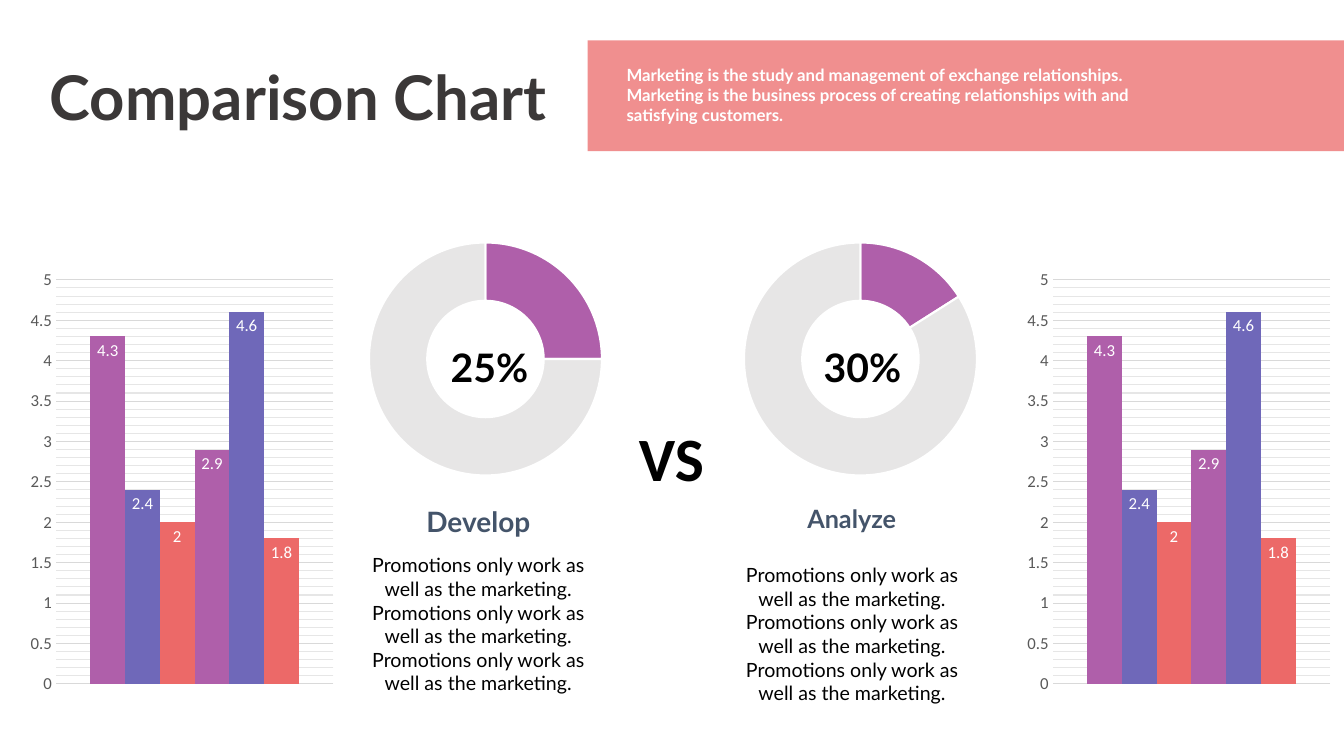
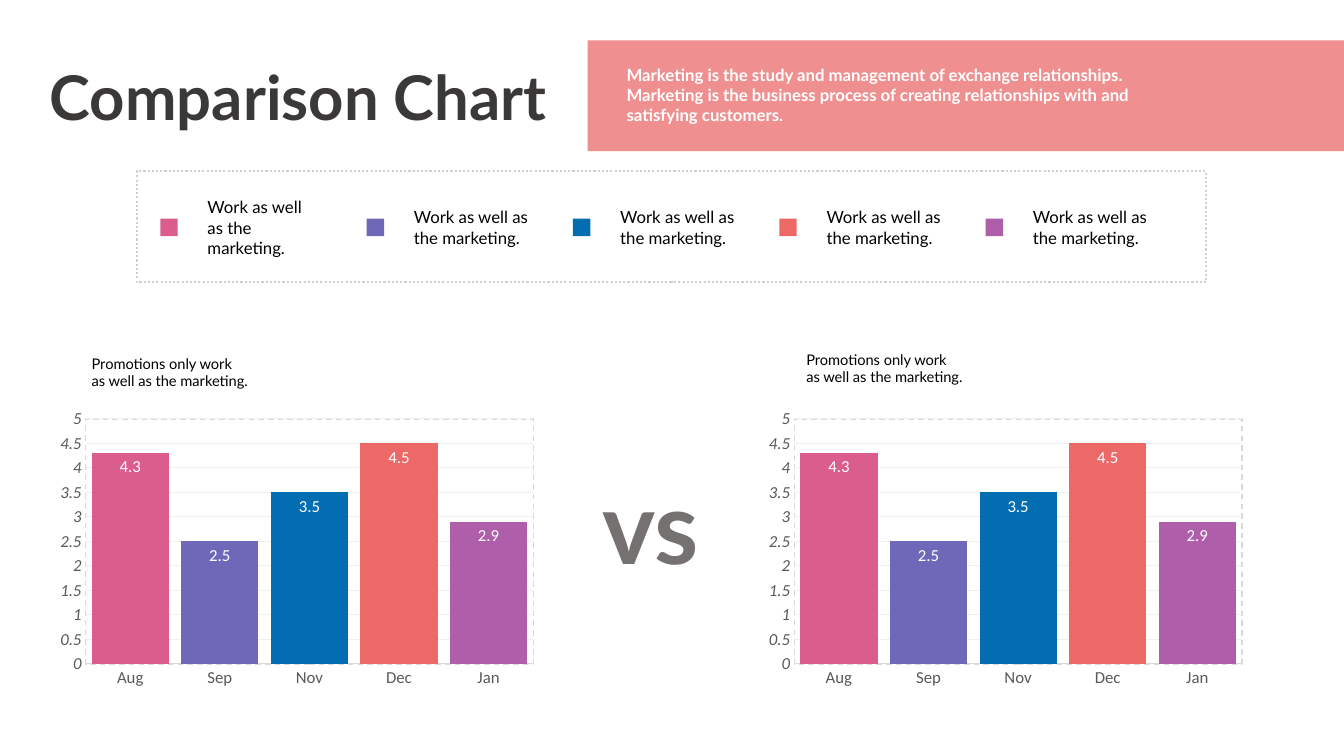
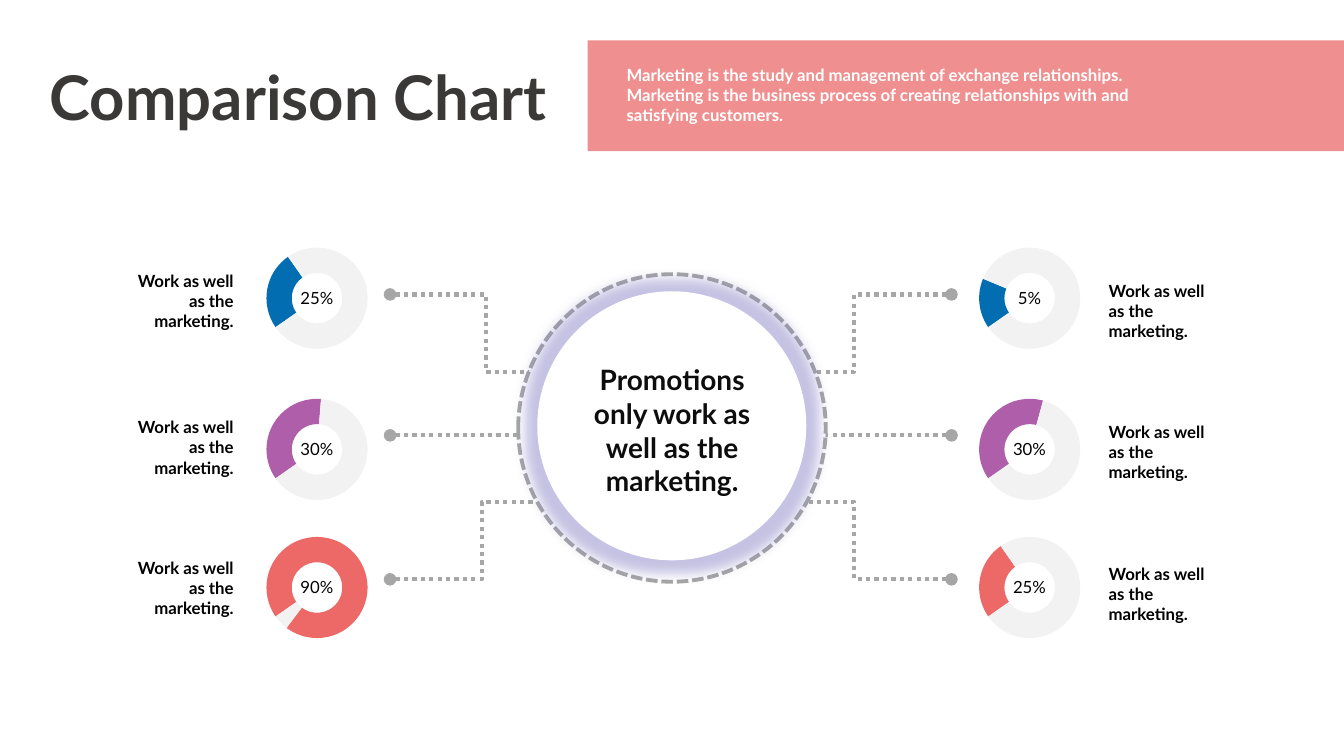
from dataclasses import dataclass

from pptx import Presentation
from pptx.chart import data as chart_data
from pptx.dml.color import RGBColor
from pptx.enum import chart as chart_enum, dml, shapes, text
from pptx.oxml import parse_xml
from pptx.oxml.ns import nsdecls
from pptx.util import Cm, Pt


@dataclass(frozen=True)
class Theme:
    font: str = "Lato"
    chart_font: str = "Calibri"
    pink: str = "DA5D8D"
    violet: str = "6F68B9"
    blue: str = "036DB2"
    coral: str = "EC6968"
    purple: str = "AF5FAA"
    white: str = "FFFFFF"
    black: str = "000000"
    ink: str = "3B3838"
    near_black: str = "0D0D0D"
    slate: str = "44546A"
    stone: str = "767171"
    axis_text: str = "595959"
    connector: str = "A6A6A6"
    grid: str = "D9D9D9"
    minor_grid: str = "E6E6E6"
    faint_grid: str = "F0F0F0"
    frame: str = "D0CECE"
    ring_rest: str = "E7E6E6"
    small_ring_rest: str = "F2F2F2"
    huge: float = 72
    title: float = 44
    figure: float = 28
    heading: float = 20
    subheading: float = 18
    body: float = 14
    label: float = 12
    caption: float = 10.5


THEME = Theme()
LEFT, CENTER, RIGHT = (text.PP_ALIGN.LEFT, text.PP_ALIGN.CENTER, text.PP_ALIGN.RIGHT)
DOTTED = dml.MSO_LINE.ROUND_DOT
DASHED = dml.MSO_LINE.SQUARE_DOT

TITLE = "Comparison Chart"
INTRO = ("Marketing is the study and management of exchange relationships. "
         "Marketing is the business process of creating relationships with "
         "and satisfying customers.")
PROMOTIONS = "Promotions only work as well as the marketing."
WORK = "Work as well as the marketing."

# Slide 1: boxes are left, top, width, height in centimetres
BARS = [("Series 1", 4.3, THEME.purple), ("Series 2", 2.4, THEME.violet),
        ("Series 3", 2, THEME.coral), ("Series 4", 2.9, THEME.purple),
        ("Series 5", 4.6, THEME.violet), ("Series 6", 1.8, THEME.coral)]
SIDES = [
    dict(bars=0.61, ring=8.53, share=25, figure="25%", figure_left=11,
         heading="Develop", heading_box=(10.29, 12.6, 3.53, 1.12),
         heading_size=THEME.heading, body=(8.97, 13.82)),
    dict(bars=25.73, ring=17.98, share=16, figure="30%", figure_left=20.4,
         heading="Analyze", heading_box=(19.89, 12.57, 3.15, 1.02),
         heading_size=THEME.subheading, body=(18.39, 14.07)),
]

# Slide 2
MONTHS = [("Aug", 4.3, THEME.pink), ("Sep", 2.5, THEME.violet),
          ("Nov", 3.5, THEME.blue), ("Dec", 4.5, THEME.coral),
          ("Jan", 2.9, THEME.purple)]
MONTH_CHARTS = [(1.27, (2.06, 8.81, 7.37, 1.5)),
                (19.13, (20.07, 8.71, 7.87, 1.6))]
MONTH_CAPTION = "Promotions only work\nas well as the marketing."

# Slide 3: each row has ring top, colour, then connector heights outside and inside
ROWS = [(5.89, THEME.blue, 7.42, 9.37), (9.7, THEME.purple, 10.97, 10.97),
        (13.18, THEME.coral, 14.6, 12.65)]
# Each item has shown figure, drawn share, caption top, connector end
WINGS = [
    dict(ring=6.25, caption=2.77, align=RIGHT, dot=9.83,
         items=[("25%", 25, 6.5, 14.66), ("30%", 36, 10.19, 14.3),
                ("90%", 95, 13.74, 14.45)]),
    dict(ring=24.21, caption=27.33, align=LEFT, dot=23.98,
         items=[("5%", 16, 6.76, 19.08), ("30%", 39, 10.31, 19.41),
                ("25%", 25, 13.89, 19.08)]),
]


def rgb(value):
    return RGBColor.from_string(value)


def lengths(box):
    return [Cm(value) for value in box]


def style_font(font, size, color, name, bold=False):
    font.size, font.name, font.bold = Pt(size), name, bold
    font.color.rgb = rgb(color)


def style_line(line, color, width, dash=None):
    line.color.rgb = rgb(color)
    line.width = Pt(width)
    if dash:
        line.dash_style = dash


def add_text(page, box, words, size, color=THEME.black, bold=False, align=LEFT,
             wrap=True, inset=None, font=THEME.font):
    """Add a text box; inset is the horizontal and vertical margin, in cm."""
    frame = page.shapes.add_textbox(*lengths(box)).text_frame
    frame.word_wrap = wrap
    if inset:
        frame.margin_left = frame.margin_right = Cm(inset[0])
        frame.margin_top = frame.margin_bottom = Cm(inset[1])
        frame.vertical_anchor = text.MSO_ANCHOR.MIDDLE
    frame.text = words
    for para in frame.paragraphs:
        para.alignment = align
        for span in para.runs:
            style_font(span.font, size, color, font, bold)


def add_note(page, box, **style):
    add_text(page, box, WORK, THEME.label, inset=(0.61, 0.3), **style)


def add_block(page, kind, box, fill=None):
    shape = page.shapes.add_shape(kind, *lengths(box))
    shape.shadow.inherit = False
    shape.line.fill.background()
    if fill:
        shape.fill.solid()
        shape.fill.fore_color.rgb = rgb(fill)
    else:
        shape.fill.background()
    return shape


def add_chart(page, kind, box, categories, series):
    """Add a plain chart; series is a list of name, values pairs."""
    content = chart_data.CategoryChartData()
    content.categories = categories
    for name, values in series:
        content.add_series(name, values)
    chart = page.shapes.add_chart(kind, *lengths(box), content).chart
    chart.has_title = chart.has_legend = False
    style_font(chart.font, THEME.label, THEME.axis_text, THEME.chart_font)
    chart.plots[0].vary_by_categories = False
    return chart


def add_columns(page, box, categories, series, gap, grid):
    chart = add_chart(page, chart_enum.XL_CHART_TYPE.COLUMN_CLUSTERED, box,
                      categories, series)
    plot, axis = chart.plots[0], chart.value_axis
    plot.gap_width = gap
    plot.has_data_labels = True
    labels = plot.data_labels
    labels.show_value = True
    labels.position = chart_enum.XL_LABEL_POSITION.INSIDE_END
    style_font(labels.font, THEME.label, THEME.white, THEME.chart_font)
    axis.minimum_scale, axis.maximum_scale = 0, 5
    axis.major_unit, axis.minor_unit = 0.5, 0.1
    axis.format.line.fill.background()
    style_line(axis.major_gridlines.format.line, grid, 0.75)
    for each in (axis, chart.category_axis):
        each.major_tick_mark = chart_enum.XL_TICK_MARK.NONE
    return chart


def paint(part, color):
    part.format.fill.solid()
    part.format.fill.fore_color.rgb = rgb(color)


def add_ring(page, box, share, colors, hole, start=0, edge=None):
    chart = add_chart(page, chart_enum.XL_CHART_TYPE.DOUGHNUT, box, ["1", "2"],
                      [("Series 1", (share, 100 - share))])
    chart.plots[0].has_data_labels = False
    for tag, value in (("holeSize", hole), ("firstSliceAng", start)):
        chart.element.xpath(f".//c:{tag}")[0].set("val", str(value))
    for index, color in enumerate(colors):
        point = chart.plots[0].series[0].points[index]
        paint(point, color)
        if edge:
            style_line(point.format.line, edge, 1.5)
        else:
            point.format.line.fill.background()
    return chart


def set_plot_layout(chart, left, top, width, height):
    area = chart.element.xpath(".//c:plotArea")[0]
    for old in area.xpath("./c:layout"):
        area.remove(old)
    area.insert(0, parse_xml(
        f'<c:layout {nsdecls("c")}><c:manualLayout>'
        '<c:layoutTarget val="inner"/><c:xMode val="edge"/><c:yMode val="edge"/>'
        f'<c:x val="{left}"/><c:y val="{top}"/><c:w val="{width}"/>'
        f'<c:h val="{height}"/></c:manualLayout></c:layout>'))


def add_outline(chart, tag, color, width, dash):
    """Give the chart part named by its tag an unfilled outline."""
    chart.element.xpath(f".//c:{tag}")[0].append(parse_xml(
        f'<c:spPr {nsdecls("c", "a")}><a:noFill/><a:ln w="{Pt(width)}"><a:solidFill>'
        f'<a:srgbClr val="{color}"/></a:solidFill><a:prstDash val="{dash}"/>'
        '</a:ln></c:spPr>'))


def add_link(page, start, end):
    """Join two points with a dotted line that starts in a dot."""
    straight = start[1] == end[1]
    kind = shapes.MSO_CONNECTOR.STRAIGHT if straight else shapes.MSO_CONNECTOR.ELBOW
    link = page.shapes.add_connector(kind, *lengths(start + end))
    style_line(link.line, THEME.connector, 3, DOTTED)
    properties = link._element.spPr
    properties.xpath("./a:ln")[0].append(
        parse_xml(f'<a:headEnd {nsdecls("a")} type="oval"/>'))
    properties.append(parse_xml(f'<a:effectLst {nsdecls("a")}/>'))


def add_page(deck):
    """Add a blank slide with the shared title and band."""
    page = deck.slides.add_slide(deck.slide_layouts[6])
    band = add_block(page, shapes.MSO_SHAPE.RECTANGLE, (14.81, 1.02, 19.06, 2.79),
                     THEME.coral)
    band._element.spPr.xpath("./a:solidFill/a:srgbClr")[0].append(
        parse_xml(f'<a:alpha {nsdecls("a")} val="74000"/>'))
    add_text(page, (0.61, 1.35, 13.82, 2.13), TITLE, THEME.title, THEME.ink, True,
             CENTER, wrap=False)
    add_text(page, (15.54, 1.5, 14.15, 1.8), INTRO, THEME.label, THEME.white, True)
    return page


def build_versus_rings(page):
    for side in SIDES:
        chart = add_columns(page, (side["bars"], 6.58, 7.95, 11.13), ["1"],
                            [(name, [value]) for name, value, _ in BARS],
                            199, THEME.grid)
        chart.category_axis.visible = False
        chart.value_axis.has_minor_gridlines = True
        add_outline(chart, "minorGridlines", THEME.minor_grid, 0.75, "solid")
        for series, (_, _, color) in zip(chart.plots[0].series, BARS):
            paint(series, color)
        ring = add_ring(page, (side["ring"], 5.97, 6.99, 6.55), side["share"],
                        (THEME.purple, THEME.ring_rest), 75, edge=THEME.white)
        set_plot_layout(ring, 0.11, 0.02, 0.84, 0.9)
        add_text(page, (side["figure_left"], 8.53, 2.67, 1.45), side["figure"],
                 THEME.figure, bold=True, align=CENTER)
        add_text(page, side["heading_box"], side["heading"], side["heading_size"],
                 THEME.slate, True, CENTER)
        add_text(page, side["body"] + (6.17, 3.84), " ".join([PROMOTIONS] * 3),
                 THEME.body, align=CENTER)
    add_text(page, (15.85, 10.46, 2.16, 2.13), "VS", THEME.title, bold=True,
             wrap=False, font=THEME.chart_font)


def build_versus_months(page):
    names, values, colors = zip(*MONTHS)
    for left, caption_box in MONTH_CHARTS:
        chart = add_columns(page, (left, 10.16, 12.42, 7.32), names,
                            [("Series 1", values)], 16, THEME.faint_grid)
        chart.plots[0].overlap = 14
        chart.value_axis.tick_labels.font.italic = True
        style_line(chart.category_axis.format.line, THEME.grid, 0.75)
        add_outline(chart, "plotArea", THEME.grid, 1, "dash")
        for index, color in enumerate(colors):
            paint(chart.plots[0].series[0].points[index], color)
        add_text(page, caption_box, MONTH_CAPTION, THEME.caption)
    add_text(page, (13.97, 11.56, 4.85, 3.33), "vs", THEME.huge, THEME.stone, True,
             CENTER)
    frame = add_block(page, shapes.MSO_SHAPE.RECTANGLE, (3.45, 4.32, 26.95, 2.79))
    style_line(frame.line, THEME.frame, 1.5, DOTTED)
    for index, color in enumerate(colors):
        left = 4.04 + 5.2 * index
        add_block(page, shapes.MSO_SHAPE.RECTANGLE, (left, 5.51, 0.44, 0.44), color)
        add_note(page, (left + 0.58, 4.65, 4.42 if index else 3.84, 2.16))


def build_hub(page):
    for wing in WINGS:
        for (top, color, outer, inner), item in zip(ROWS, wing["items"]):
            figure, share, caption_top, link_end = item
            add_link(page, (wing["dot"], outer), (link_end, inner))
            add_ring(page, (wing["ring"], top, 3.48, 3.25), share,
                     (color, THEME.small_ring_rest), 66, 235)
            add_text(page, (wing["ring"] + 0.91, top + 1.24, 1.65, 0.76), figure,
                     THEME.label, align=CENTER)
            add_note(page, (wing["caption"], caption_top, 3.73, 2.16), bold=True,
                     align=wing["align"])
    rim = add_block(page, shapes.MSO_SHAPE.OVAL, (13.06, 6.91, 7.75, 7.75), THEME.white)
    style_line(rim.line, THEME.connector, 2.75, DASHED)
    disc = add_block(page, shapes.MSO_SHAPE.OVAL, (13.54, 7.34, 6.78, 6.78), THEME.white)
    disc._element.spPr.xpath("./a:effectLst")[0].append(parse_xml(
        f'<a:glow {nsdecls("a")} rad="228600"><a:srgbClr val="{THEME.violet}">'
        '<a:alpha val="40000"/></a:srgbClr></a:glow>'))
    add_text(page, (14.55, 9.02, 4.78, 3.68), PROMOTIONS, THEME.heading,
             THEME.near_black, True, CENTER)


def main():
    deck = Presentation()
    deck.slide_width, deck.slide_height = Cm(33.87), Cm(19.05)
    for build in (build_versus_rings, build_versus_months, build_hub):
        build(add_page(deck))
    deck.save("out.pptx")


if __name__ == "__main__":
    main()
